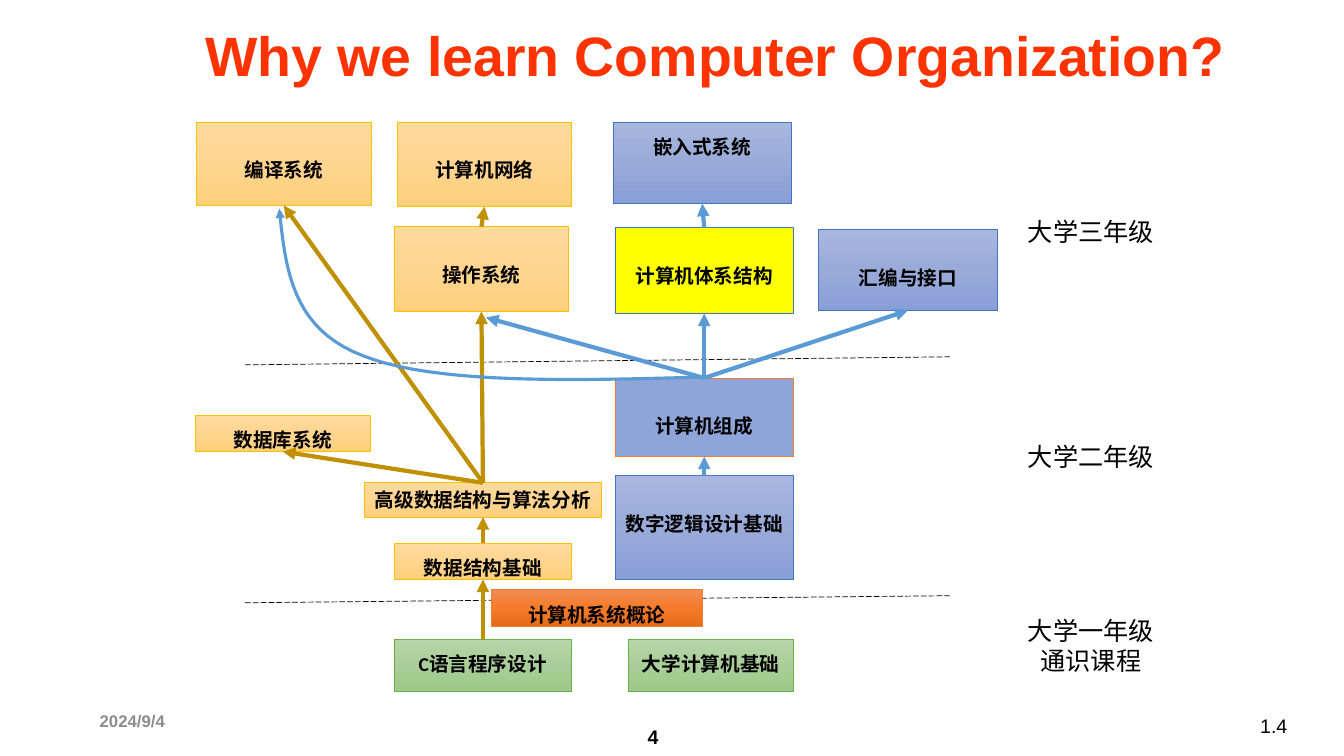
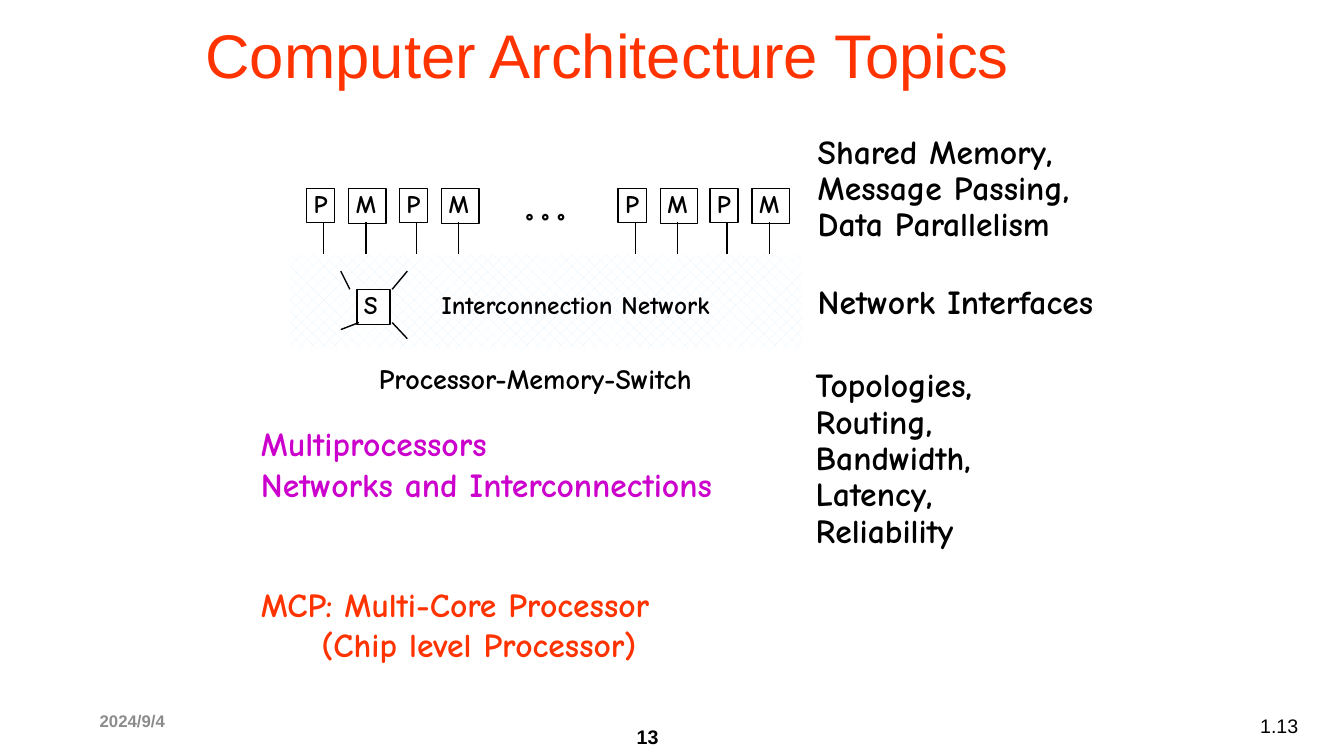
from copy import deepcopy
from dataclasses import dataclass
from typing import NamedTuple

from lxml.etree import SubElement
from pptx import Presentation
from pptx.dml.color import RGBColor
from pptx.enum.dml import MSO_LINE, MSO_PATTERN
from pptx.enum.shapes import MSO_CONNECTOR, MSO_SHAPE
from pptx.enum.text import MSO_ANCHOR, PP_ALIGN
from pptx.oxml.ns import qn
from pptx.util import Inches, Pt


@dataclass(frozen=True)
class Theme:
    title: str = "FF3300"
    ink: str = "000000"
    paper: str = "FFFFFF"
    date: str = "8C8C8C"
    topic: str = "CC00CC"
    software_arrow: str = "BF9000"
    hardware_arrow: str = "5B9BD5"
    network: str = "E1F4FF"
    plain_font: str = "Arial"
    course_font: str = "Calibri"
    hand_font: str = "Comic Neue"
    date_size: float = 12
    small: float = 14
    label: float = 18
    caption: float = 20
    large: float = 24


THEME = Theme()


class Style(NamedTuple):
    fills: tuple[str, ...]
    line: str


SOFTWARE = Style(("FFDB9E", "FFD590", "FFD07C"), "FFC000")
HARDWARE = Style(("A8B7DF", "9AABD9", "889ED7"), "4472C4")
GENERAL = Style(("B5D5A7", "AACE9A", "9CC987"), "70AD47")
OVERVIEW = Style(("F18C57", "F67B28", "E56C19"), "ED7D31")
ORGANIZATION = Style(("8FA4D8",), "ED7D31")
ARCHITECTURE = Style(("FFFF00",), "4472C4")


class Area(NamedTuple):
    left: float
    top: float
    width: float
    height: float


class Course(NamedTuple):
    name: str
    area: Area
    style: Style
    inset_top: float = 0.13


class Point(NamedTuple):
    x: float
    y: float


class Site(NamedTuple):
    course: str
    side: int


class Arrow(NamedTuple):
    begin: Site
    end: Site | Point
    color: str


TOP, BOTTOM = 0, 2
LOW = 0.36
COURSES = (
    Course("编译系统", Area(1.95, 1.21, 1.73, 0.83), SOFTWARE, LOW),
    Course("计算机网络", Area(3.94, 1.21, 1.73, 0.84), SOFTWARE, LOW),
    Course("嵌入式系统", Area(6.08, 1.21, 1.77, 0.81), HARDWARE),
    Course("操作系统", Area(3.91, 2.25, 1.73, 0.84), SOFTWARE, LOW),
    Course("计算机体系结构", Area(6.1, 2.26, 1.77, 0.85), ARCHITECTURE, LOW),
    Course("汇编与接口", Area(8.12, 2.28, 1.77, 0.8), HARDWARE, LOW),
    Course("计算机组成", Area(6.1, 3.75, 1.77, 0.78), ORGANIZATION, LOW),
    Course("数据库系统", Area(1.94, 4.12, 1.73, 0.36), SOFTWARE),
    Course("数字逻辑设计基础", Area(6.1, 4.72, 1.77, 1.03), HARDWARE, LOW),
    Course("高级数据结构与算法分析", Area(3.61, 4.79, 2.36, 0.34), SOFTWARE, 0.05),
    Course("数据结构基础", Area(3.91, 5.39, 1.76, 0.36), SOFTWARE),
    Course("计算机系统概论", Area(4.87, 5.85, 2.1, 0.36), OVERVIEW),
    Course("C语言程序设计", Area(3.91, 6.34, 1.76, 0.52), GENERAL),
    Course("大学计算机基础", Area(6.23, 6.34, 1.64, 0.52), GENERAL),
)


def rising(lower: str, upper: str, color: str) -> Arrow:
    return Arrow(Site(lower, TOP), Site(upper, BOTTOM), color)


ARROWS = (
    rising("C语言程序设计", "数据结构基础", THEME.software_arrow),
    rising("数据结构基础", "高级数据结构与算法分析", THEME.software_arrow),
    rising("高级数据结构与算法分析", "操作系统", THEME.software_arrow),
    rising("高级数据结构与算法分析", "编译系统", THEME.software_arrow),
    rising("高级数据结构与算法分析", "数据库系统", THEME.software_arrow),
    rising("操作系统", "计算机网络", THEME.software_arrow),
    rising("数字逻辑设计基础", "计算机组成", THEME.hardware_arrow),
    rising("计算机组成", "汇编与接口", THEME.hardware_arrow),
    Arrow(Site("计算机组成", TOP), Point(4.82, 3.15), THEME.hardware_arrow),
    rising("计算机体系结构", "嵌入式系统", THEME.hardware_arrow),
    rising("计算机组成", "计算机体系结构", THEME.hardware_arrow),
)

YEARS = (("大学三年级", 2.1), ("大学二年级", 4.33), ("大学一年级\n通识课程", 6.05))

COMPILER_CURVE = (
    (Point(6.99, 3.74), Point(5.65, 3.78), Point(4.3, 3.81), Point(3.6, 3.53)),
    (Point(3.6, 3.53), Point(2.89, 3.26), Point(2.83, 2.66), Point(2.77, 2.07)),
)


def rgb(color: str) -> RGBColor:
    return RGBColor.from_string(color)


def write(box, text: str, *, size: float, font: str = THEME.plain_font,
          color: str = THEME.ink, bold: bool = False, align=PP_ALIGN.LEFT,
          anchor=MSO_ANCHOR.TOP, spacing: float = 1.0,
          inset_x: float = 0.1, inset_top: float = 0.05, inset_bottom: float = 0.05):
    """Fill a shape with one paragraph for each line of text."""
    frame = box.text_frame
    frame.word_wrap = True
    frame.vertical_anchor = anchor
    frame.margin_left = frame.margin_right = Inches(inset_x)
    frame.margin_top, frame.margin_bottom = Inches(inset_top), Inches(inset_bottom)
    frame.text = text
    for para in frame.paragraphs:
        para.alignment = align
        para.line_spacing = spacing
        for span in para.runs:
            span.font.name, span.font.size, span.font.bold = font, Pt(size), bold
            span.font.color.rgb = rgb(color)
    return frame


def add_text(page, area: Area, text: str, **text_format):
    box = page.shapes.add_textbox(*map(Inches, area))
    return write(box, text, **text_format)


def add_hand_text(page, area: Area, text: str, **text_format):
    settings = {"font": THEME.hand_font, "bold": True, "inset_x": 0.07,
                "inset_top": 0.03, "inset_bottom": 0.03}
    return add_text(page, area, text, **(settings | text_format))


def add_box(page, area: Area, fills: tuple[str, ...] = (), line: str | None = None,
            weight: float = 0.5):
    """Draw a rectangle: no fill, a solid fill, or a downward gradient of three colours."""
    box = page.shapes.add_shape(MSO_SHAPE.RECTANGLE, *map(Inches, area))
    box.shadow.inherit = False
    if len(fills) == 3:
        box.fill.gradient()
        box.fill.gradient_angle = 270
        stop_list = box.element.spPr.find(".//" + qn("a:gsLst"))
        stop_list.insert(1, deepcopy(stop_list[0]))
        for stop, position, color in zip(box.fill.gradient_stops, (0, 0.5, 1), fills):
            stop.position = position
            stop.color.rgb = rgb(color)
    elif fills:
        box.fill.solid()
        box.fill.fore_color.rgb = rgb(fills[0])
    else:
        box.fill.background()
    if line:
        box.line.color.rgb = rgb(line)
        box.line.width = Pt(weight)
    else:
        box.line.fill.background()
    return box


def add_arrowhead(shape) -> None:
    SubElement(shape.element.spPr.find(qn("a:ln")), qn("a:tailEnd"), type="triangle")


def add_line(page, begin: Point, end: Point, color: str = THEME.ink,
             weight: float = 1, dash=None):
    line = page.shapes.add_connector(MSO_CONNECTOR.STRAIGHT, *map(Inches, (*begin, *end)))
    line.line.color.rgb = rgb(color)
    line.line.width = Pt(weight)
    if dash:
        line.line.dash_style = dash
    SubElement(line.element.spPr, qn("a:effectLst"))
    return line


def add_arrow(page, arrow: Arrow, boxes: dict) -> None:
    end = arrow.end if isinstance(arrow.end, Point) else Point(0, 0)
    line = add_line(page, Point(0, 0), end, arrow.color, 3)
    line.begin_connect(boxes[arrow.begin.course], arrow.begin.side)
    if isinstance(arrow.end, Site):
        line.end_connect(boxes[arrow.end.course], arrow.end.side)
    add_arrowhead(line)


def bezier(controls: tuple[Point, ...], t: float) -> tuple[int, int]:
    weights = ((1 - t) ** 3, 3 * t * (1 - t) ** 2, 3 * t * t * (1 - t), t ** 3)
    return (Inches(sum(w * p.x for w, p in zip(weights, controls))),
            Inches(sum(w * p.y for w, p in zip(weights, controls))))


def add_curve(page, segments, color: str, steps: int = 20) -> None:
    points = [bezier(controls, step / steps)
              for controls in segments for step in range(1, steps + 1)]
    builder = page.shapes.build_freeform(*bezier(segments[0], 0))
    builder.add_line_segments(points, close=False)
    curve = builder.convert_to_shape()
    curve.shadow.inherit = False
    curve.fill.background()
    curve.line.color.rgb = rgb(color)
    curve.line.width = Pt(2.25)
    add_arrowhead(curve)


def add_page(deck, title: str, number: int, size: float, bold: bool):
    """Add a blank page with the title and footers that all pages share."""
    page = deck.slides.add_slide(deck.slide_layouts[6])
    add_text(page, Area(3.85, 7.14, 2.78, 0.5), str(number), size=THEME.small,
             bold=True, align=PP_ALIGN.RIGHT)
    add_text(page, Area(12.4, 7.03, 0.94, 0.39), f"1.{number}", size=THEME.small)
    add_text(page, Area(0.89, 6.95, 3, 0.4), "2024/9/4", size=THEME.date_size,
             color=THEME.date, bold=True, anchor=MSO_ANCHOR.MIDDLE)
    add_text(page, Area(1.94, 0, 11.03, 1.07), title, size=size, color=THEME.title,
             bold=bold, anchor=MSO_ANCHOR.MIDDLE)
    return page


def add_curriculum(deck) -> None:
    page = add_page(deck, "Why we learn Computer Organization?", 4, 39.6, True)
    for left_y, right_y in ((3.62, 3.54), (5.98, 5.91)):
        add_line(page, Point(2.43, left_y), Point(9.42, right_y), weight=0.5,
                 dash=MSO_LINE.LONG_DASH)
    boxes = {}
    for course in COURSES:
        box = add_box(page, course.area, course.style.fills, course.style.line)
        write(box, course.name, size=THEME.small, font=THEME.course_font, bold=True,
              align=PP_ALIGN.CENTER, inset_top=course.inset_top)
        boxes[course.name] = box
    for text, top in YEARS:
        height = 0.4 + 0.31 * text.count("\n")
        add_text(page, Area(10.02, top, 1.6, height), text, size=THEME.label,
                 font=THEME.course_font, align=PP_ALIGN.CENTER)
    for arrow in ARROWS:
        add_arrow(page, arrow, boxes)
    add_curve(page, COMPILER_CURVE, THEME.hardware_arrow)


def add_node(page, letter: str, area: Area, fills: tuple[str, ...] = ()) -> None:
    box = add_box(page, area, fills, THEME.ink, 1)
    write(box, letter, size=THEME.label, font=THEME.hand_font, bold=True, spacing=0.92,
          inset_x=0.07, inset_top=0.03, inset_bottom=0.03)


def add_topics(deck) -> None:
    page = add_page(deck, "Computer Architecture Topics", 13, 44, False)
    network = add_box(page, Area(2.88, 2.53, 5.08, 0.92))
    network.fill.patterned()
    network.fill.pattern = MSO_PATTERN.PERCENT_25
    network.fill.fore_color.rgb = rgb(THEME.network)
    network.fill.back_color.rgb = rgb(THEME.paper)

    for pair_left in (3.04, 3.96, 6.13, 7.04):
        for letter, offset, width, height in (("P", 0, 0.28, 0.34), ("M", 0.42, 0.37, 0.35)):
            left = pair_left + offset
            add_node(page, letter, Area(left, 1.87, width, height))
            add_line(page, Point(left + 0.17, 2.2), Point(left + 0.17, 2.52))
    add_hand_text(page, Area(5.15, 2.06, 1.11, 0.31), "° ° °", size=THEME.label, spacing=0.85)

    add_node(page, "S", Area(3.54, 2.87, 0.33, 0.35), (THEME.paper,))
    for begin, end in ((Point(3.89, 2.87), Point(4.04, 2.69)),
                       (Point(3.47, 2.87), Point(3.38, 2.69)),
                       (Point(3.56, 3.2), Point(3.38, 3.27)),
                       (Point(3.89, 3.2), Point(4.04, 3.36))):
        add_line(page, begin, end)
    add_hand_text(page, Area(4.31, 2.89, 3.15, 0.31), "Interconnection Network",
                  size=THEME.label, spacing=0.85)

    for area, text in (
        (Area(8.04, 1.31, 2.94, 1.15), "Shared Memory,\nMessage Passing,\nData Parallelism"),
        (Area(8.04, 2.8, 3.41, 0.42), "Network Interfaces"),
        (Area(8.02, 3.63, 1.95, 1.87),
         "Topologies,\nRouting,\nBandwidth,\nLatency,\nReliability"),
    ):
        add_hand_text(page, area, text, size=THEME.large, spacing=0.9)

    roomy = {"inset_x": 0.1, "inset_top": 0.05, "inset_bottom": 0.05}
    add_hand_text(page, Area(3.66, 3.54, 3.79, 0.43), "Processor-Memory-Switch",
                  size=THEME.caption, **roomy)
    summary = add_hand_text(
        page, Area(2.49, 4.15, 5.29, 2.52),
        "Multiprocessors\nNetworks and Interconnections\n"
        "MCP: Multi-Core Processor\n(Chip level Processor)",
        size=THEME.large, color=THEME.topic, **roomy)
    multicore, chip = summary.paragraphs[2:]
    for para in (multicore, chip):
        para.runs[0].font.color.rgb = rgb(THEME.title)
    multicore.space_before = Pt(57)
    chip._p.get_or_add_pPr().set("marL", str(Inches(0.6)))


def main() -> None:
    deck = Presentation()
    deck.slide_width, deck.slide_height = Inches(13.33), Inches(7.5)
    add_curriculum(deck)
    add_topics(deck)
    deck.save("out.pptx")


if __name__ == "__main__":
    main()
